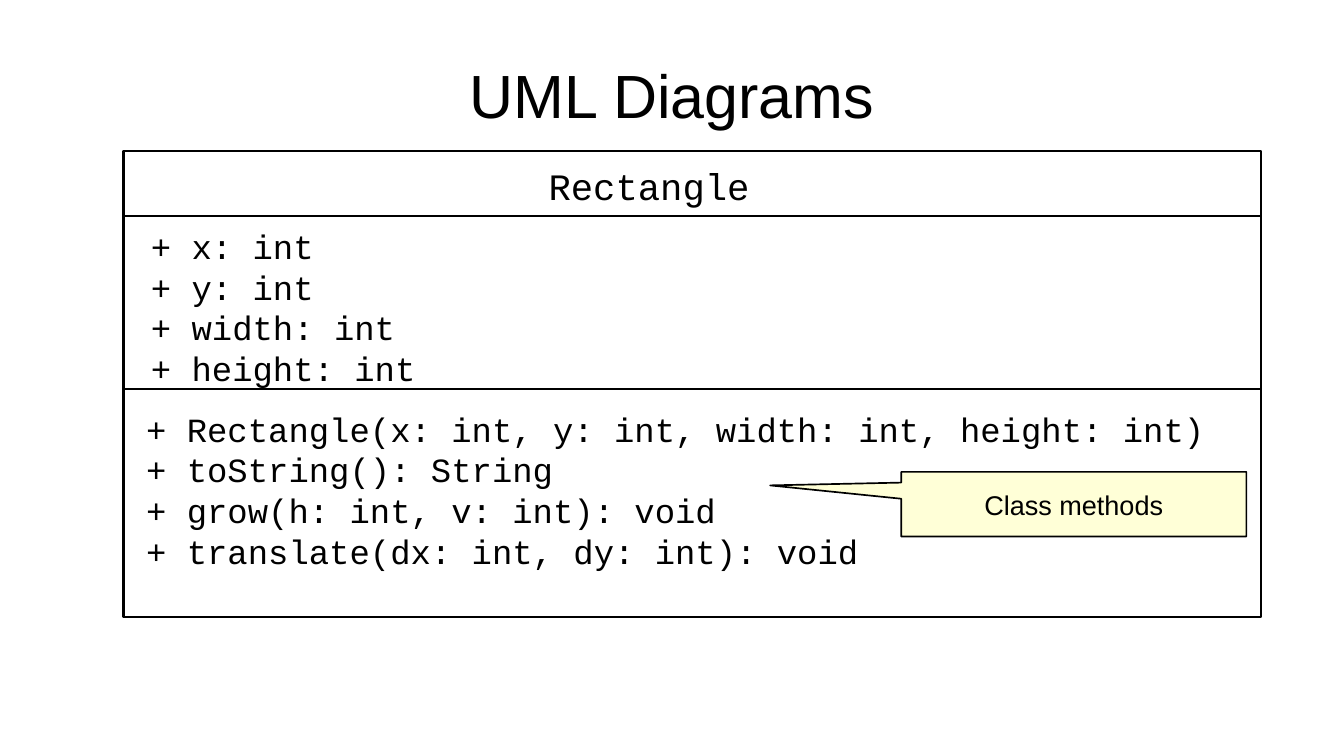
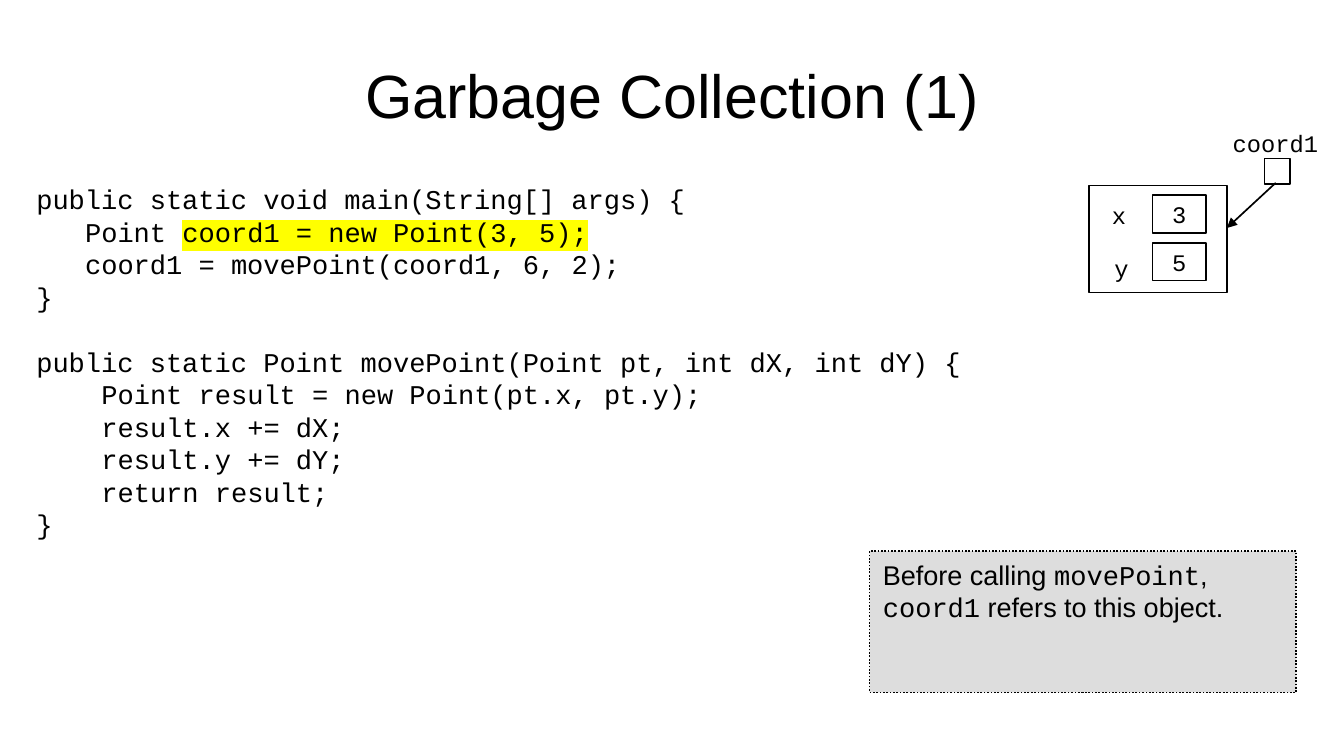
from dataclasses import dataclass
from typing import NamedTuple, Optional, Sequence

from lxml import etree
from pptx import Presentation
from pptx import util as u
from pptx.dml.color import RGBColor
from pptx.enum import dml, shapes, text
from pptx.oxml import ns

# Shared style
BLACK = RGBColor(0x00, 0x00, 0x00)
WHITE = RGBColor(0xFF, 0xFF, 0xFF)
CALLOUT_CREAM = RGBColor(0xFF, 0xFF, 0xD7)
NOTE_GREY = RGBColor(0xDD, 0xDD, 0xDD)
HIGHLIGHT_YELLOW = RGBColor(0xFF, 0xFF, 0x00)
SANS, MONO = "Arial", "Courier New"
THIN, THICK = 0.99, 1.5
SLIDE_WIDTH, SLIDE_HEIGHT = u.Inches(11.02), u.Inches(6.2)
TITLE_ONLY = 5
CODE_SIZE = 16
CODE_CHARACTER = 0.6 * CODE_SIZE
CODE_LINE = 1.2 * CODE_SIZE


def across(share: float) -> int:
    """Convert a percentage of the slide's width."""
    return round(SLIDE_WIDTH * share / 100)


def down(share: float) -> int:
    """Convert a percentage of the slide's height."""
    return round(SLIDE_HEIGHT * share / 100)


class Area(NamedTuple):
    """Left, top, width and height as percentages of the slide."""
    left: float
    top: float
    width: float
    height: float

    def lengths(self) -> tuple:
        return across(self.left), down(self.top), across(self.width), down(self.height)


class Span(NamedTuple):
    text: str
    font: str = MONO
    highlight: Optional[RGBColor] = None


@dataclass(frozen=True)
class Line:
    spans: Sequence[Span]
    indent: int = 0        # characters
    gap_before: int = 0    # lines


@dataclass(frozen=True)
class Label:
    area: Area
    lines: Sequence[Line]
    size: float
    wrap: bool = True


@dataclass(frozen=True)
class Box:
    area: Area
    fill: Optional[RGBColor] = WHITE
    weight: float = THIN
    lines: Sequence[Line] = ()
    size: float = 14
    kind: shapes.MSO_SHAPE = shapes.MSO_SHAPE.RECTANGLE
    dash: Optional[dml.MSO_LINE] = None
    centred: bool = True


def mono(*rows: str) -> list:
    return [Line([Span(row)]) for row in rows]


# Drawing functions
def format_run(run, size: float, span: Span) -> None:
    run.font.size = u.Pt(size)
    run.font.color.rgb = BLACK
    run.font.name = span.font
    if span.highlight is not None:
        highlight = etree.Element(ns.qn("a:highlight"))
        etree.SubElement(highlight, ns.qn("a:srgbClr"), val=str(span.highlight))
        run.font.fill  # the highlight belongs between the fill and the typeface
        run._r.rPr.find(ns.qn("a:latin")).addprevious(highlight)


def write_lines(frame, lines: Sequence[Line], size: float, align: text.PP_ALIGN) -> None:
    for index, line in enumerate(lines):
        paragraph = frame.add_paragraph() if index else frame.paragraphs[0]
        paragraph.alignment = align
        if line.gap_before:
            paragraph.space_before = u.Pt(line.gap_before * CODE_LINE)
        if line.indent:
            margin = u.Pt(line.indent * CODE_CHARACTER)
            paragraph._p.get_or_add_pPr().set("marL", str(margin))
        for span in line.spans:
            run = paragraph.add_run()
            run.text = span.text
            format_run(run, size, span)


def set_insets(frame, side: float, end: float) -> None:
    frame.margin_left = frame.margin_right = u.Inches(side)
    frame.margin_top = frame.margin_bottom = u.Inches(end)


def add_titled_slide(presentation, heading: str):
    slide = presentation.slides.add_slide(presentation.slide_layouts[TITLE_ONLY])
    title = slide.shapes.title
    title.left, title.top, title.width, title.height = Area(5, 4, 90, 16.8).lengths()
    frame = title.text_frame
    frame.text = heading
    frame.vertical_anchor = text.MSO_ANCHOR.MIDDLE
    set_insets(frame, 0, 0)
    paragraph = frame.paragraphs[0]
    paragraph.alignment = text.PP_ALIGN.CENTER
    format_run(paragraph.runs[0], 36, Span(heading, SANS))
    return slide


def add_label(slide, label: Label) -> None:
    frame = slide.shapes.add_textbox(*label.area.lengths()).text_frame
    frame.word_wrap = label.wrap
    set_insets(frame, 0.1, 0.05)
    write_lines(frame, label.lines, label.size, text.PP_ALIGN.LEFT)


def add_box(slide, box: Box):
    shape = slide.shapes.add_shape(box.kind, *box.area.lengths())
    shape.shadow.inherit = False
    if box.fill is None:
        shape.fill.background()
    else:
        shape.fill.solid()
        shape.fill.fore_color.rgb = box.fill
    shape.line.color.rgb = BLACK
    shape.line.width = u.Pt(box.weight)
    if box.dash is not None:
        shape.line.dash_style = box.dash
    frame = shape.text_frame
    set_insets(frame, 0.11, 0.06)
    frame.word_wrap = not box.centred
    frame.vertical_anchor = text.MSO_ANCHOR.MIDDLE if box.centred else text.MSO_ANCHOR.TOP
    align = text.PP_ALIGN.CENTER if box.centred else text.PP_ALIGN.LEFT
    write_lines(frame, box.lines, box.size, align)
    return shape


def add_line(slide, start: tuple, end: tuple, weight: float, arrow: bool = False) -> None:
    connector = slide.shapes.add_connector(
        shapes.MSO_CONNECTOR.STRAIGHT,
        across(start[0]), down(start[1]), across(end[0]), down(end[1]))
    connector.line.color.rgb = BLACK
    connector.line.width = u.Pt(weight)
    if arrow:
        etree.SubElement(connector.line._get_or_add_ln(), ns.qn("a:tailEnd"), type="triangle")
    etree.SubElement(connector._element.spPr, ns.qn("a:effectLst"))


# Slide 1: class diagram
def build_class_diagram(presentation) -> None:
    slide = add_titled_slide(presentation, "UML Diagrams")
    frame = Area(9.17, 20, 84.66, 61.6)
    add_box(slide, Box(frame, fill=None, weight=THICK))
    for divider in (28.55, 51.45):
        add_line(slide, (frame.left, divider), (frame.left + frame.width, divider), THICK)

    class_name = Label(Area(39.93, 20.8, 17.24, 7.1), mono("Rectangle"), 22)
    attributes = Label(
        Area(10.34, 29.03, 56.26, 21.94),
        mono("+ x: int", "+ y: int", "+ width: int", "+ height: int"), 20)
    methods = Label(
        Area(9.98, 53.23, 81.4, 26.94),
        mono("+ Rectangle(x: int, y: int, width: int, height: int)",
             "+ toString(): String",
             "+ grow(h: int, v: int): void",
             "+ translate(dx: int, dy: int): void"), 20)
    for compartment in (class_name, attributes, methods):
        add_label(slide, compartment)

    callout = add_box(slide, Box(
        Area(67.06, 62.42, 25.68, 8.55), CALLOUT_CREAM, size=16,
        lines=[Line([Span("Class methods", SANS)])],
        kind=shapes.MSO_SHAPE.RECTANGULAR_CALLOUT))
    callout.adjustments[0], callout.adjustments[1] = -0.88, -0.29


# Slide 2: code beside an object diagram
def build_garbage_collection(presentation) -> None:
    slide = add_titled_slide(presentation, "Garbage Collection (1)")
    code = [
        Line([Span("public static void main(String[] args) {")]),
        Line([Span("Point "),
              Span("coord1 = new Point(3, 5);", highlight=HIGHLIGHT_YELLOW)], indent=3),
        Line([Span("coord1 = movePoint(coord1, 6, 2);")], indent=3),
        Line([Span("}")]),
        Line([Span("public static Point movePoint(Point pt, int dX, int dY) {")], gap_before=1),
        *(Line([Span(statement)], indent=4) for statement in (
            "Point result = new Point(pt.x, pt.y);",
            "result.x += dX;", "result.y += dY;", "return result;")),
        Line([Span("}")]),
    ]
    add_label(slide, Label(Area(1.81, 23.39, 72.6, 46.3), code, CODE_SIZE))

    # Reference and the object it points to
    add_box(slide, Box(Area(94.1, 20.97, 1.9, 3.39)))
    add_label(slide, Label(Area(90.83, 16.29, 8.17, 5.16), mono("coord1"), 14, wrap=False))
    add_box(slide, Box(Area(81.03, 24.52, 10.25, 14.19)))
    for row, (field, value) in enumerate((("x", "3"), ("y", "5"))):
        add_box(slide, Box(Area(85.75, 25.81 + 6.29 * row, 3.99, 5), lines=mono(value)))
        add_label(slide, Label(
            Area(81.85 + 0.18 * row, 25.81 + 6.94 * row, 2.95, 5.16),
            mono(field), 14, wrap=False))
    add_line(slide, (94.92, 24.19), (91.29, 30.16), THIN, arrow=True)

    # Explanatory note
    note = Line([Span("Before calling ", SANS), Span("movePoint"), Span(", ", SANS),
                 Span("coord1"), Span(" refers to this object.", SANS)])
    add_box(slide, Box(
        Area(64.7, 72.9, 31.76, 18.71), NOTE_GREY, lines=[note], size=16,
        dash=dml.MSO_LINE.ROUND_DOT, centred=False))


presentation = Presentation()
presentation.slide_width, presentation.slide_height = SLIDE_WIDTH, SLIDE_HEIGHT
build_class_diagram(presentation)
build_garbage_collection(presentation)
presentation.save("out.pptx")
